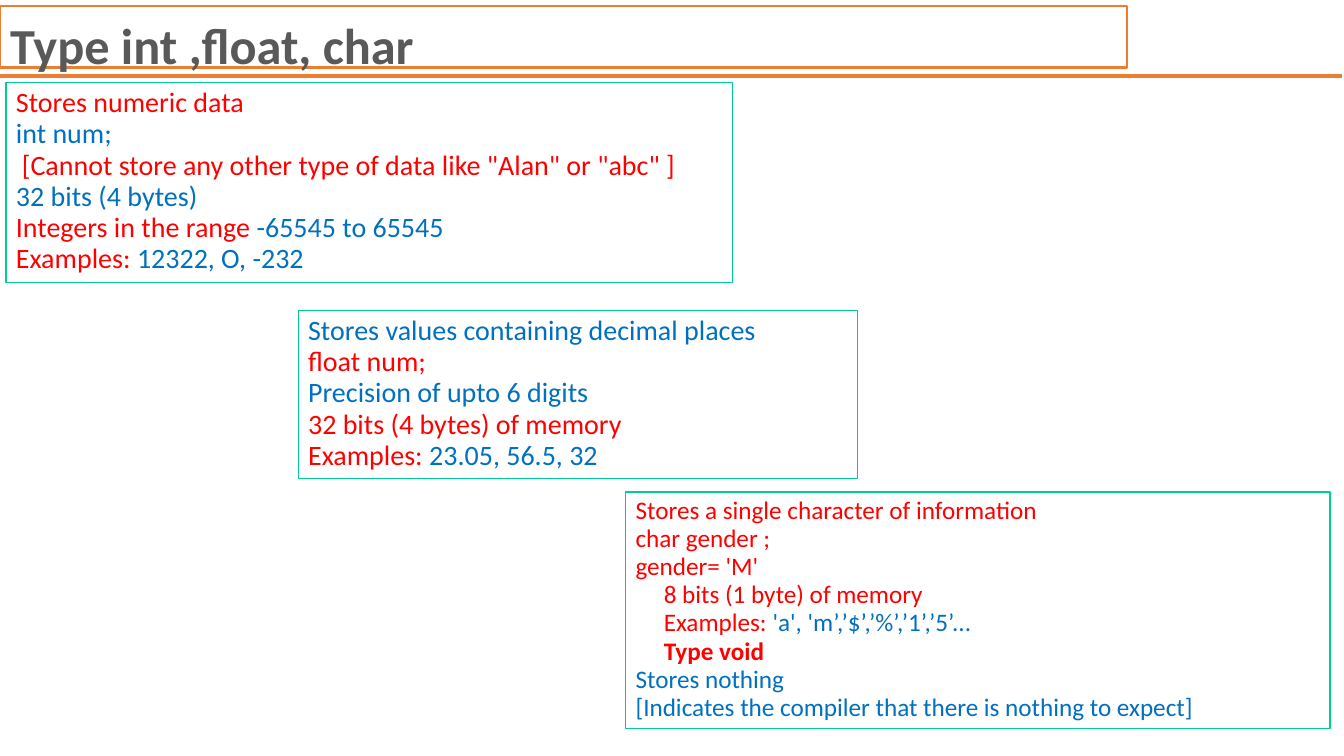
from pptx import Presentation
from pptx.dml.color import RGBColor
from pptx.enum import shapes, text
from pptx.oxml import ns
from pptx.util import Inches, Pt
from lxml import etree

COLORS = {
    "red": "FF0000", "blue": "0070C0", "title": "595959",
    "orange": "ED7D31", "green": "00CC99", "white": "FFFFFF",
}
FONT = "Calibri"

# Each line: (indent in inches, bold, [(text, colour), ...])
INT_LINES = [
    (0, False, [("Stores numeric data", "red")]),
    (0, False, [("int num;", "blue")]),
    (0.06, False, [('[Cannot store any other type of data like "Alan" or "abc" ]', "red")]),
    (0, False, [("32 bits (4 bytes)", "blue")]),
    (0, False, [("Integers in the range", "red"), (" -65545 to 65545", "blue")]),
    (0, False, [("Examples: ", "red"), ("12322, O, -232", "blue")]),
]
FLOAT_LINES = [
    (0, False, [("Stores values containing decimal places", "blue")]),
    (0, False, [("float num;", "red")]),
    (0, False, [("Precision of upto 6 digits", "blue")]),
    (0, False, [("32 bits (4 bytes) of memory", "red")]),
    (0, False, [("Examples:", "red"), (" 23.05, 56.5, 32", "blue")]),
]
CHAR_LINES = [
    (0, False, [("Stores a single character of information", "red")]),
    (0, False, [("char gender ;", "red")]),
    (0, False, [("gender= 'M'", "red")]),
    (0.28, False, [("8 bits (1 byte) of memory", "red")]),
    (0.28, False, [("Examples: ", "red"), ("'a', 'm’,’$’,’%’,’1’,’5’...", "blue")]),
    (0.28, True, [("Type void", "red")]),
    (0, False, [("Stores nothing", "blue")]),
    (0, False, [("[Indicates the compiler that there is nothing to expect]", "blue")]),
]


def color(name):
    return RGBColor.from_string(COLORS[name])


def set_line(part, name, width):
    part.line.color.rgb = color(name)
    part.line.width = Pt(width)


def add_heading(slide, left, top, width, height):
    """Framed title with the rule under it."""
    rule_y = Inches(top + height + 0.085)
    rule = slide.shapes.add_connector(
        shapes.MSO_CONNECTOR.STRAIGHT, Inches(left), rule_y, Inches(13.32), rule_y)
    set_line(rule, "orange", 3)
    etree.SubElement(rule._element.spPr, ns.qn("a:effectLst"))

    title = slide.shapes.title
    title.left, title.top = Inches(left), Inches(top)
    title.width, title.height = Inches(width), Inches(height)
    set_line(title, "orange", 1.5)
    frame = title.text_frame
    frame.text = "Type int ,float, char"
    frame.auto_size = text.MSO_AUTO_SIZE.NONE
    frame.vertical_anchor = text.MSO_ANCHOR.TOP
    frame.margin_top, frame.margin_bottom = Inches(0.08), 0
    heading = frame.paragraphs[0]
    heading.alignment = text.PP_ALIGN.LEFT
    heading.font.name, heading.font.size, heading.font.bold = FONT, Pt(36), True
    heading.font.color.rgb = color("title")


def add_type_box(slide, left, top, width, height, lines, size, alignment):
    """Bordered box describing one data type."""
    box = slide.shapes.add_textbox(
        Inches(left), Inches(top), Inches(width), Inches(height))
    box.fill.solid()
    box.fill.fore_color.rgb = color("white")
    set_line(box, "green", 1)
    frame = box.text_frame
    frame.word_wrap = True
    frame.auto_size = text.MSO_AUTO_SIZE.SHAPE_TO_FIT_TEXT
    for index, (indent, bold, parts) in enumerate(lines):
        line = frame.add_paragraph() if index else frame.paragraphs[0]
        line.alignment = alignment
        line.line_spacing = 0.93
        if indent:
            line._p.get_or_add_pPr().set("marL", str(Inches(indent)))
        line.font.name, line.font.size, line.font.bold = FONT, Pt(size), bold
        if len(parts) == 1:
            line.font.color.rgb = color(parts[0][1])
        for words, tint in parts:
            run = line.add_run()
            run.text = words
            if len(parts) > 1:
                run.font.color.rgb = color(tint)


def main():
    prs = Presentation()
    prs.slide_width, prs.slide_height = Inches(13.34), Inches(7.5)
    slide = prs.slides.add_slide(prs.slide_layouts.get_by_name("Title Only"))
    add_heading(slide, 0, 0.06, 11.19, 0.61)
    justify, left = text.PP_ALIGN.JUSTIFY, text.PP_ALIGN.LEFT
    add_type_box(slide, 0.06, 0.82, 7.21, 1.98, INT_LINES, 20, justify)
    add_type_box(slide, 2.96, 3.08, 5.55, 1.67, FLOAT_LINES, 20, justify)
    add_type_box(slide, 6.21, 4.88, 6.99, 2.35, CHAR_LINES, 18, left)
    prs.save("out.pptx")


if __name__ == "__main__":
    main()
